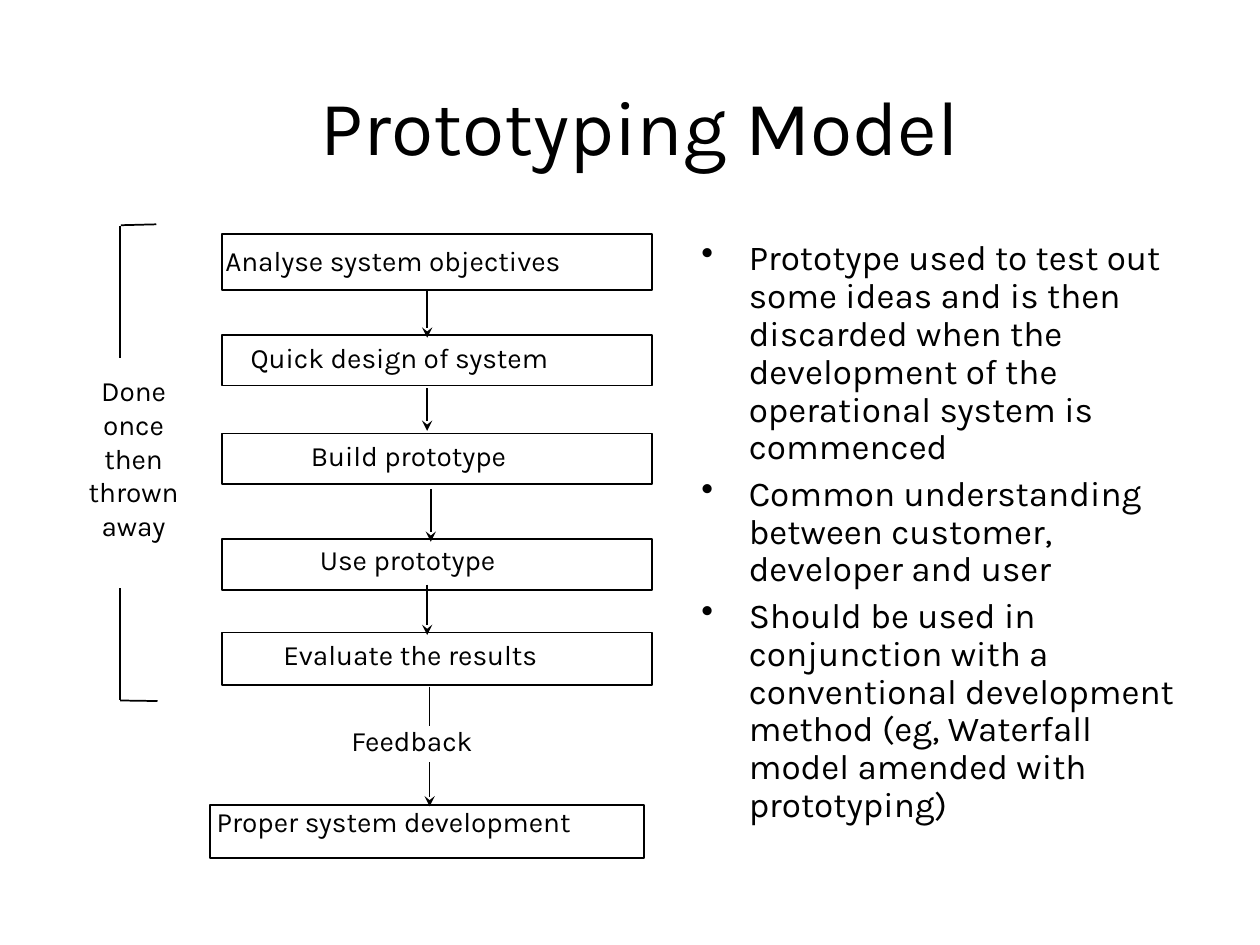
from pptx import Presentation
from pptx.dml.color import RGBColor
from pptx.enum.shapes import MSO_CONNECTOR, MSO_SHAPE
from pptx.enum.text import MSO_ANCHOR, MSO_AUTO_SIZE, PP_ALIGN
from pptx.oxml.ns import qn
from pptx.util import Pt
from lxml.etree import SubElement

THEME = {
    "font": "Karla", "ink": RGBColor(0, 0, 0), "paper": RGBColor(255, 255, 255),
    "title": 44, "body": 20, "label": 16, "line": 1,
}

TITLE = "Prototyping Model"
POINTS = [
    "Prototype used to test out some ideas and is then discarded when the "
    "development of the operational system is commenced",
    "Common understanding between customer, developer and user",
    "Should be used in conjunction with a conventional development method "
    "(eg, Waterfall model amended with prototyping)",
]
NOTE = ["Done", "once", "then", "thrown", "away"]

STEP_LEFT, STEP_WIDTH = 126.7, 246
LABEL_HEIGHT = 26.6
STEPS = [
    ("Analyse system objectives", 133.9, 31.7, (121.7, 135.4, 208.8)),
    ("Quick design of system", 191.5, 28.8, (136.1, 190.8, 187.9)),
    ("Build prototype", 247.7, 28.8, (170.6, 247, 131)),
    ("Use prototype", 308.2, 28.8, (175.7, 306.7, 121)),
    ("Evaluate the results", 361.4, 30.2, (154.8, 360.7, 162)),
]
FINAL = ("Proper system development", (120.2, 460.1, 247.7, 30.2), (116.8, 456.5, 260))
FEEDBACK = ("Feedback", (193.7, 409.7, 85.7))
FLOW = [
    (244.1, 165.6, 193, True),
    (244.1, 221.8, 246.2, True),
    (246.2, 279.4, 309.6, True),
    (244.1, 334.1, 362.9, True),
    (245.5, 392.4, 414.7, False),
    (245.5, 435.6, 460.8, True),
]
BRACKET = [
    (68.6, 128.9, 68.6, 204.5),
    (68.6, 336.2, 68.6, 400.3),
    (68.6, 400.3, 90, 400.6),
    (69.1, 128.7, 89.3, 128.2),
]


def add_text(s, lines, box, size, align=PP_ALIGN.LEFT, wrap=False, anchor=MSO_ANCHOR.TOP):
    tf = s.shapes.add_textbox(*map(Pt, box)).text_frame
    tf.word_wrap = wrap
    tf.auto_size = MSO_AUTO_SIZE.NONE if wrap else MSO_AUTO_SIZE.SHAPE_TO_FIT_TEXT
    tf.vertical_anchor = anchor
    for i, line in enumerate(lines):
        p = tf.add_paragraph() if i else tf.paragraphs[0]
        p.alignment = align
        r = p.add_run()
        r.text = line
        r.font.size = Pt(size)
        r.font.name = THEME["font"]
        r.font.color.rgb = THEME["ink"]
    return tf


def add_label(s, text, place):
    add_text(s, [text], (*place, LABEL_HEIGHT), THEME["label"])


def add_box(s, box):
    sp = s.shapes.add_shape(MSO_SHAPE.RECTANGLE, *map(Pt, box))
    sp.shadow.inherit = False
    sp.fill.background()
    sp.line.color.rgb = THEME["ink"]
    sp.line.width = Pt(THEME["line"])


def add_line(s, ends, arrow=False):
    c = s.shapes.add_connector(MSO_CONNECTOR.STRAIGHT, *map(Pt, ends))
    c.line.color.rgb = THEME["ink"]
    c.line.width = Pt(THEME["line"])
    if arrow:
        SubElement(c.line._get_or_add_ln(), qn("a:tailEnd"), type="stealth")
    SubElement(c._element.spPr, qn("a:effectLst"))


def add_bullets(s):
    tf = add_text(s, POINTS, (393.8, 133.9, 290.2, 370), THEME["body"], wrap=True)
    for i, p in enumerate(tf.paragraphs):
        pPr = p._p.get_or_add_pPr()
        pPr.set("marL", str(Pt(27)))
        pPr.set("indent", str(Pt(-27)))
        SubElement(pPr, qn("a:buChar"), char="•")
        p.line_spacing = 0.9
        p.space_before = Pt(5 if i else 0)


def main():
    prs = Presentation()
    prs.slide_width, prs.slide_height = Pt(720), Pt(540)
    s = prs.slides.add_slide(prs.slide_layouts[6])
    s.background.fill.solid()
    s.background.fill.fore_color.rgb = THEME["paper"]

    add_text(s, [TITLE], (60, 26, 612, 90), THEME["title"],
             PP_ALIGN.CENTER, True, MSO_ANCHOR.MIDDLE)
    add_bullets(s)
    add_text(s, NOTE, (41.8, 210.2, 69.1, 103), THEME["label"], PP_ALIGN.CENTER)
    for ends in BRACKET:
        add_line(s, ends)

    for text, top, height, place in STEPS:
        add_label(s, text, place)
        add_box(s, (STEP_LEFT, top, STEP_WIDTH, height))
    text, box, place = FINAL
    add_label(s, text, place)
    add_box(s, box)
    add_label(s, *FEEDBACK)
    for x, start, end, arrow in FLOW:
        add_line(s, (x, start, x, end), arrow)

    prs.save("out.pptx")


if __name__ == "__main__":
    main()
